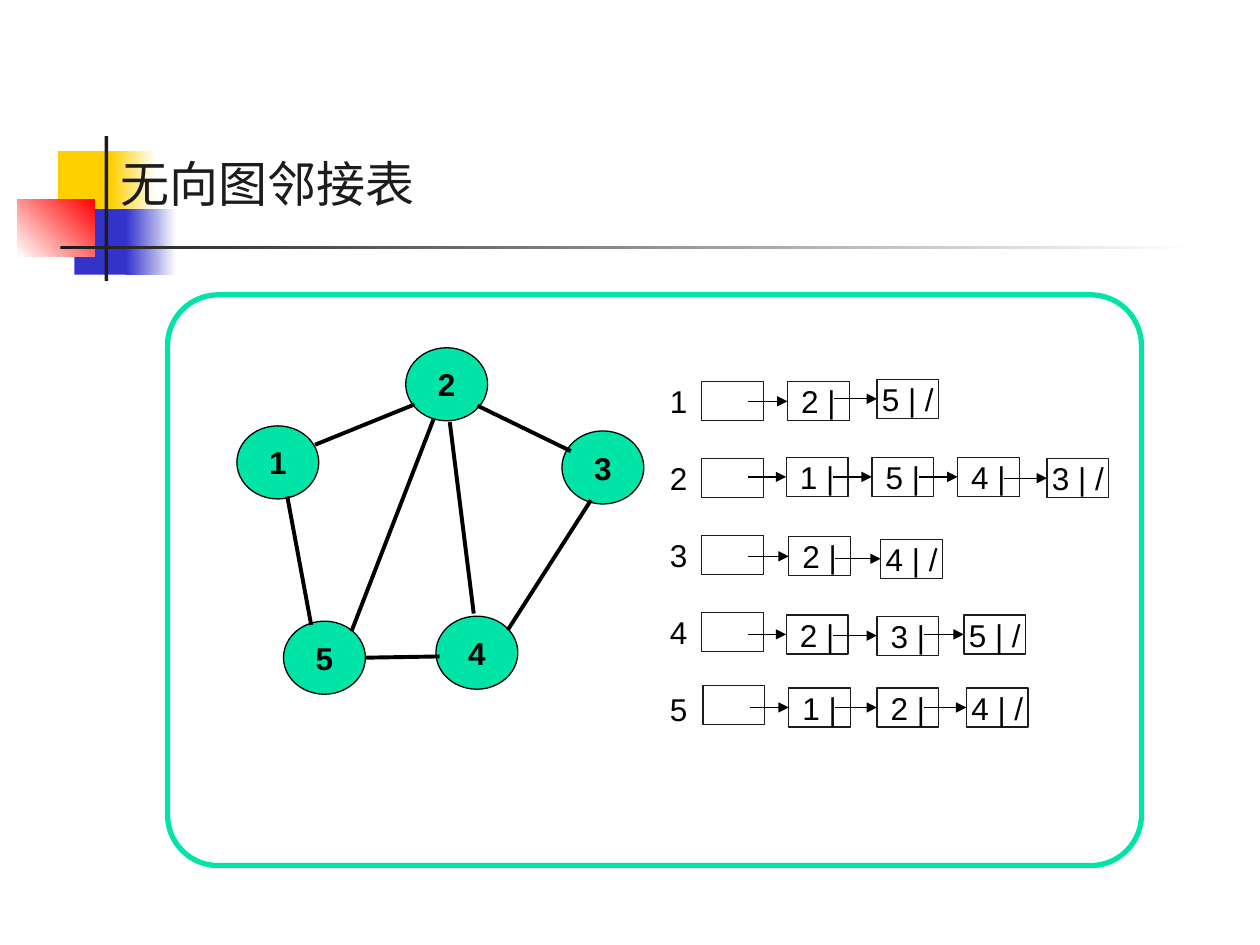
from lxml.etree import SubElement
from pptx import Presentation
from pptx.dml.color import RGBColor
from pptx.enum.shapes import MSO_CONNECTOR, MSO_SHAPE
from pptx.enum.text import MSO_ANCHOR, MSO_AUTO_SIZE, PP_ALIGN
from pptx.oxml.ns import qn
from pptx.util import Inches, Pt

HUES = {
    "gold": "FFCF01", "blue": "3333CC", "red": "FF0000", "white": "FFFFFF",
    "ink": "1C1C1C", "black": "000000", "mint": "00E4A8",
}
FRAME = {
    "margin_left": Inches(0.1), "margin_right": Inches(0.1),
    "margin_top": Inches(0.05), "margin_bottom": Inches(0.05),
    "auto_size": MSO_AUTO_SIZE.NONE,
}
BODY = {"name": "Arial", "size": Pt(18), "bold": False}
BOLD = {**BODY, "bold": True}
HEAD = {"name": "Noto Sans CJK SC", "size": Pt(28), "bold": False}

DECOR = [
    ((0.46, 1.2, 0.48, 0.52), ["gold"], 0),
    ((0.88, 1.2, 0.36, 0.52), ["gold", "white"], 0),
    ((0.59, 1.66, 0.46, 0.52), ["blue"], 0),
    ((1, 1.66, 0.4, 0.52), ["blue", "white"], 0),
    ((0.14, 1.58, 0.61, 0.46), ["white", "red"], 45),
    ((0.83, 1.08, 0.03, 1.15), ["ink"], 0),
    ((0.48, 1.95, 9, 0.03), ["ink", "white"], 0),
]
NODES = {"1": (1.88, 3.38), "5": (2.25, 4.93), "2": (3.22, 2.76),
         "4": (3.46, 4.89), "3": (4.46, 3.42)}
EDGES = [
    ((2.5, 3.53), (3.29, 3.21)), ((3.79, 3.22), (4.53, 3.58)),
    ((2.28, 3.94), (2.47, 4.96)), ((2.79, 5.01), (3.44, 3.33)),
    ((2.9, 5.22), (3.49, 5.21)), ((4.03, 5), (4.69, 3.97)),
    ((3.76, 4.87), (3.57, 3.35)),
]
ROWS = [
    [("", 5.57, 3.03), ("2 |", 6.25, 3.03), ("5 | /", 6.96, 3.01)],
    [("", 5.57, 3.64), ("1 |", 6.24, 3.63), ("5 |", 6.92, 3.63),
     ("4 |", 7.6, 3.63), ("3 | /", 8.31, 3.64)],
    [("", 5.57, 4.25), ("2 |", 6.26, 4.26), ("4 | /", 6.99, 4.28)],
    [("", 5.57, 4.86), ("2 |", 6.24, 4.88), ("3 |", 6.96, 4.89),
     ("5 | /", 7.65, 4.88)],
    [("", 5.58, 5.44), ("1 |", 6.26, 5.46), ("2 |", 6.96, 5.46),
     ("4 | /", 7.67, 5.46)],
]
CELL = (0.49, 0.31)


def tint(name):
    return RGBColor.from_string(HUES[name])


def apply(item, style):
    for key, value in style.items():
        setattr(item, key, value)


def write(shape, lines, style, hue="black", align=PP_ALIGN.CENTER,
          anchor=MSO_ANCHOR.MIDDLE, wrap=False, gap=0):
    frame = shape.text_frame
    apply(frame, {**FRAME, "word_wrap": wrap, "vertical_anchor": anchor})
    frame.text = "\n".join(lines)
    for row, para in enumerate(frame.paragraphs):
        apply(para, {"alignment": align, "space_before": Pt(gap if row else 0)})
        font = para.runs[0].font
        apply(font, style)
        font.color.rgb = tint(hue)


def paint(fill, hues, angle):
    if len(hues) == 1:
        fill.solid()
        fill.fore_color.rgb = tint(hues[0])
        return
    fill.gradient()
    fill.gradient_angle = angle
    for spot, (stop, hue) in enumerate(zip(fill.gradient_stops, hues)):
        stop.position = spot
        stop.color.rgb = tint(hue)


def block(slide, kind, box, hues=(), angle=0, line=None, width=0.75):
    shape = slide.shapes.add_shape(kind, *map(Inches, box))
    shape.shadow.inherit = False
    if hues:
        paint(shape.fill, hues, angle)
    else:
        shape.fill.background()
    if line:
        shape.line.color.rgb = tint(line)
        shape.line.width = Pt(width)
    else:
        shape.line.fill.background()
    return shape


def link(slide, start, end, width):
    line = slide.shapes.add_connector(
        MSO_CONNECTOR.STRAIGHT, *map(Inches, (*start, *end)))
    line.line.color.rgb = tint("black")
    line.line.width = Pt(width)
    SubElement(line._element.spPr, qn("a:effectLst"))
    return line


def arrow(slide, start, end, cell):
    line = link(slide, start, end, 0.75)
    line.end_connect(cell, 1)
    SubElement(line.line._get_or_add_ln(), qn("a:tailEnd"), type="triangle")


def panel(slide):
    shape = block(slide, MSO_SHAPE.ROUNDED_RECTANGLE, (1.33, 2.34, 7.73, 4.53),
                  ["white", "white"], -45, "mint", 3)
    shape.adjustments[0] = 0.089
    tone = next(shape._element.spPr.iter(qn("a:srgbClr")))
    SubElement(tone, qn("a:alpha"), val="57000")


def heading(slide):
    title = slide.shapes.title
    apply(title, {"left": Inches(0.86), "top": Inches(1.17),
                  "width": Inches(7.44), "height": Inches(0.57)})
    write(title, ["无向图邻接表"], HEAD, "ink", PP_ALIGN.LEFT, wrap=True)
    props = title.text_frame.paragraphs[0].runs[0].font._element
    SubElement(props, qn("a:ea"), typeface=HEAD["name"])
    slide.shapes._spTree.append(title._element)


def graph(slide):
    for name, spot in NODES.items():
        node = block(slide, MSO_SHAPE.OVAL, (*spot, 0.65, 0.58),
                     ["mint"], line="black")
        write(node, [name], BOLD)
    for start, end in EDGES:
        link(slide, start, end, 2.25)


def chain(slide, row):
    cells = []
    for text, left, top in row:
        cell = block(slide, MSO_SHAPE.RECTANGLE, (left, top, *CELL), line="ink")
        if text:
            write(cell, [text], BODY)
        cells.append(cell)
    for (_, left, _), (_, right, top), cell in zip(row, row[1:], cells[1:]):
        mid = top + CELL[1] / 2
        arrow(slide, (left + 0.37, mid), (right, mid), cell)


def lists(slide):
    box = slide.shapes.add_textbox(*map(Inches, (5.14, 3, 0.49, 2.81)))
    write(box, "12345", BODY, gap=22.4)
    for row in ROWS:
        chain(slide, row)


def main():
    deck = Presentation()
    apply(deck, {"slide_width": Inches(10), "slide_height": Inches(7.5)})
    slide = deck.slides.add_slide(deck.slide_layouts[5])
    for box, hues, angle in DECOR:
        block(slide, MSO_SHAPE.RECTANGLE, box, hues, angle)
    panel(slide)
    heading(slide)
    graph(slide)
    lists(slide)
    deck.save("out.pptx")


if __name__ == "__main__":
    main()
